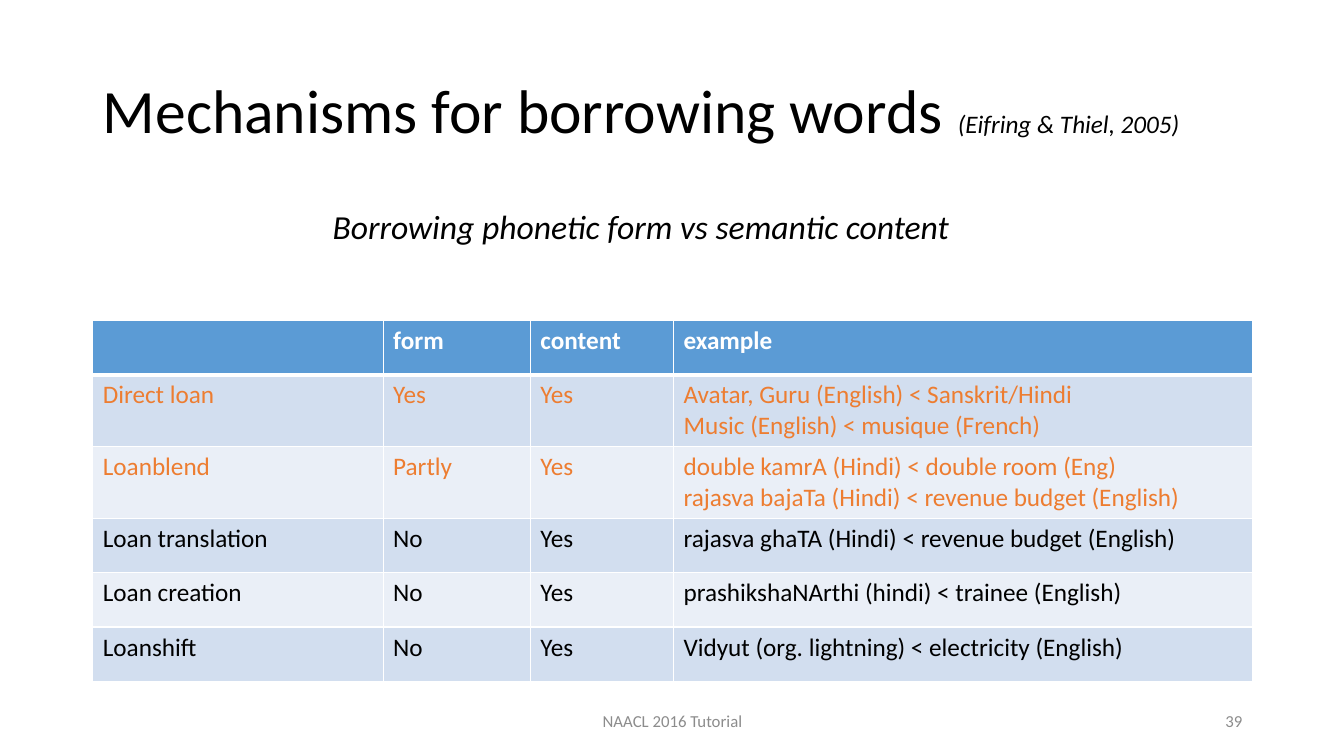
from dataclasses import dataclass
from typing import NamedTuple

from lxml import etree
from pptx import Presentation
from pptx import util as u
from pptx.dml.color import RGBColor
from pptx.enum import text
from pptx.oxml import ns


@dataclass(frozen=True)
class Theme:
    font: str = "Calibri"
    ink: str = "000000"
    white: str = "FFFFFF"
    muted: str = "8C8C8C"
    accent: str = "ED7D31"
    header: str = "5B9BD5"
    bands: tuple[str, str] = ("D2DEEF", "EAEFF7")
    title_size: int = 44
    subtitle_size: int = 24
    body_size: int = 18
    footer_size: int = 12


class Frame(NamedTuple):
    left: float
    top: float
    width: float
    height: float

    def lengths(self) -> list[u.Length]:
        return [u.Inches(value) for value in self]


@dataclass(frozen=True)
class Label:
    frame: Frame
    words: str
    size: int
    color: str
    align: text.PP_ALIGN
    anchor: text.MSO_ANCHOR = text.MSO_ANCHOR.MIDDLE
    italic: bool = False


@dataclass(frozen=True)
class Mechanism:
    name: str
    form: str
    content: str
    examples: tuple[str, ...]
    highlighted: bool = False


THEME = Theme()
TITLE_FRAME = Frame(0.92, 0.4, 11.5, 1.45)
TABLE_FRAME = Frame(0.92, 3.18, 11.5, 3.24)
COLUMN_WIDTHS = (2.88, 1.46, 1.42, 5.74)
ROW_HEIGHT = 0.54
THIN_RULE, HEADER_RULE = 1, 3

LABELS = (
    Label(Frame(0.29, 1.99, 12.13, 0.5), "Borrowing phonetic form vs semantic content",
          THEME.subtitle_size, THEME.ink, text.PP_ALIGN.CENTER,
          text.MSO_ANCHOR.TOP, italic=True),
    Label(Frame(9.42, 6.95, 3, 0.4), "39",
          THEME.footer_size, THEME.muted, text.PP_ALIGN.RIGHT),
    Label(Frame(4.42, 6.95, 4.5, 0.4), "NAACL 2016 Tutorial",
          THEME.footer_size, THEME.muted, text.PP_ALIGN.CENTER),
)

HEADINGS = ("", "form", "content", "example")
MECHANISMS = (
    Mechanism("Direct loan", "Yes", "Yes",
              ("Avatar, Guru (English) < Sanskrit/Hindi",
               "Music (English) < musique (French)"), highlighted=True),
    Mechanism("Loanblend", "Partly", "Yes",
              ("double kamrA (Hindi) < double room (Eng)",
               "rajasva bajaTa (Hindi) < revenue budget (English)"), highlighted=True),
    Mechanism("Loan translation", "No", "Yes",
              ("rajasva ghaTA (Hindi) < revenue budget (English)",)),
    Mechanism("Loan creation", "No", "Yes",
              ("prashikshaNArthi (hindi) < trainee (English)",)),
    Mechanism("Loanshift", "No", "Yes",
              ("Vidyut (org. lightning) < electricity (English)",)),
)


def add_span(para, words: str, size: int, color: str,
             bold: bool = False, italic: bool = False) -> None:
    span = para.add_run()
    span.text = words
    span.font.name = THEME.font
    span.font.size = u.Pt(size)
    span.font.bold = bold
    span.font.italic = italic
    span.font.color.rgb = RGBColor.from_string(color)


def add_label(page, label: Label) -> None:
    box = page.shapes.add_textbox(*label.frame.lengths())
    box.text_frame.word_wrap = True
    box.text_frame.vertical_anchor = label.anchor
    para = box.text_frame.paragraphs[0]
    para.alignment = label.align
    add_span(para, label.words, label.size, label.color, italic=label.italic)


def set_title(page) -> None:
    title = page.shapes.title
    title.left, title.top, title.width, title.height = TITLE_FRAME.lengths()
    frame = title.text_frame
    frame.word_wrap = True
    frame.auto_size = text.MSO_AUTO_SIZE.NONE
    frame.vertical_anchor = text.MSO_ANCHOR.MIDDLE
    para = frame.paragraphs[0]
    para.alignment = text.PP_ALIGN.LEFT
    para.line_spacing = 0.9
    add_span(para, "Mechanisms for borrowing words ", THEME.title_size, THEME.ink)
    add_span(para, "(Eifring & Thiel, 2005)", THEME.body_size, THEME.ink, italic=True)


def set_borders(cell, top: float, bottom: float) -> None:
    properties = cell._tc.get_or_add_tcPr()
    sides = {"lnL": THIN_RULE, "lnR": THIN_RULE, "lnT": top, "lnB": bottom}
    for side, points in sides.items():
        line = etree.SubElement(properties, ns.qn(f"a:{side}"), w=str(u.Pt(points)))
        fill = etree.SubElement(line, ns.qn("a:solidFill"))
        etree.SubElement(fill, ns.qn("a:srgbClr"), val=THEME.white)


def fill_row(table, index: int, entries: list[tuple[str, ...]],
             fill: str, color: str) -> None:
    is_header = index == 0
    top = HEADER_RULE if index == 1 else THIN_RULE
    bottom = HEADER_RULE if is_header else THIN_RULE
    for column, lines in enumerate(entries):
        cell = table.cell(index, column)
        set_borders(cell, top, bottom)
        cell.fill.solid()
        cell.fill.fore_color.rgb = RGBColor.from_string(fill)
        for number, words in enumerate(lines):
            frame = cell.text_frame
            para = frame.add_paragraph() if number else frame.paragraphs[0]
            if words:
                add_span(para, words, THEME.body_size, color, bold=is_header)


def add_mechanism_table(page) -> None:
    table = page.shapes.add_table(
        len(MECHANISMS) + 1, len(HEADINGS), *TABLE_FRAME.lengths()).table
    for column, width in zip(table.columns, COLUMN_WIDTHS):
        column.width = u.Inches(width)
    for row in table.rows:
        row.height = u.Inches(ROW_HEIGHT)

    fill_row(table, 0, [(heading,) for heading in HEADINGS], THEME.header, THEME.white)
    for index, item in enumerate(MECHANISMS, start=1):
        entries = [(item.name,), (item.form,), (item.content,), item.examples]
        color = THEME.accent if item.highlighted else THEME.ink
        fill_row(table, index, entries, THEME.bands[(index - 1) % 2], color)


def main() -> None:
    # Slide with a title-only layout
    deck = Presentation()
    deck.slide_width, deck.slide_height = u.Inches(13.33), u.Inches(7.5)
    page = deck.slides.add_slide(deck.slide_layouts[5])

    # Title, table, then subtitle and footer
    set_title(page)
    add_mechanism_table(page)
    for label in LABELS:
        add_label(page, label)

    deck.save("out.pptx")


if __name__ == "__main__":
    main()
